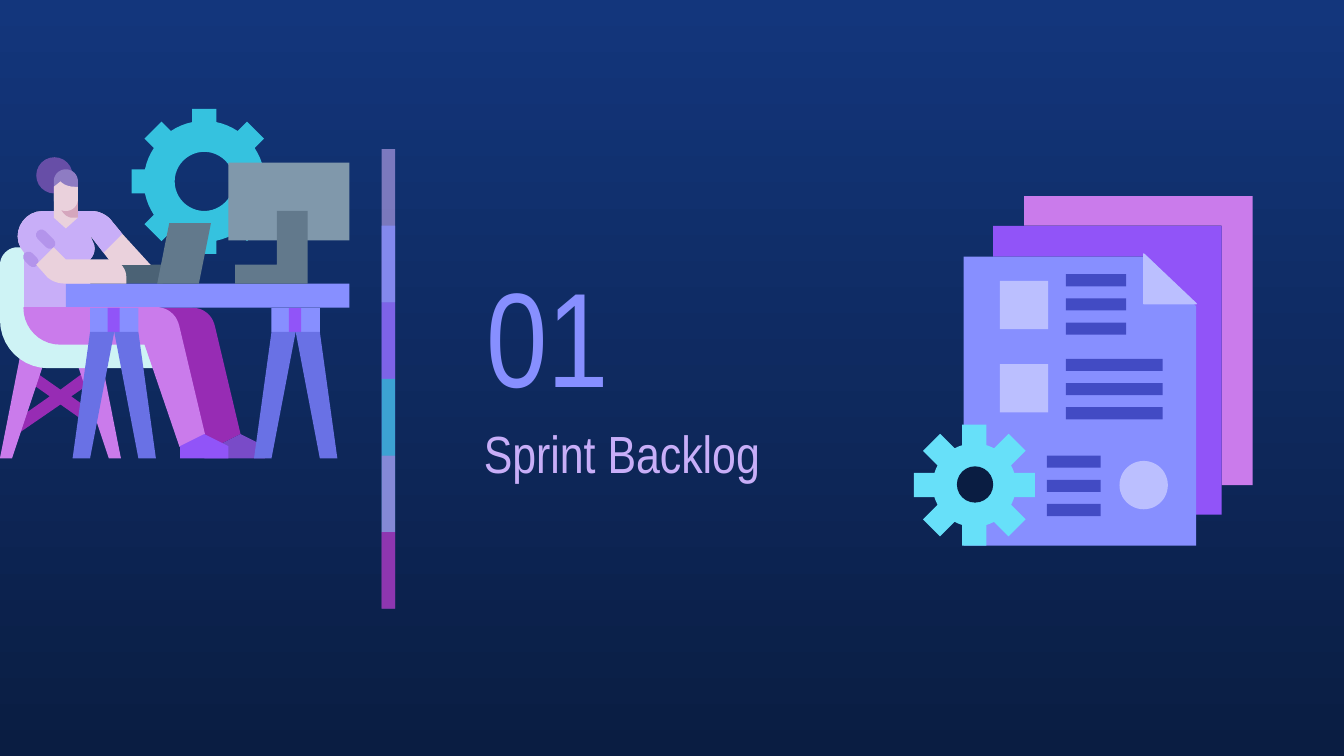
from math import asin, cos, pi, sin

from lxml import etree
from pptx import Presentation
from pptx.dml.color import RGBColor
from pptx.enum.shapes import MSO_SHAPE
from pptx.enum.text import MSO_ANCHOR
from pptx.oxml.ns import qn
from pptx.util import Inches, Pt

RECTANGLE, OVAL = MSO_SHAPE.RECTANGLE, MSO_SHAPE.OVAL
CAPSULE = MSO_SHAPE.ROUNDED_RECTANGLE


def add_part(color, geometry, kind=None, hole=(), opacity=None, edge=False):
    """Draw a preset from (left, top, width, height), or an outline from points.

    In an outline a pair is a corner, and six numbers are a Bezier curve.
    """
    if kind is not None:
        shape = slide.shapes.add_shape(kind, *map(Inches, geometry))
    else:
        points = []
        for step in geometry:
            if len(step) == 2:
                points.append(step)
                continue
            controls = [points[-1], step[:2], step[2:4], step[4:]]
            for t in [i / 10 for i in range(1, 11)]:
                weights = (1 - t) ** 3, 3 * t * (1 - t) ** 2, 3 * t * t * (1 - t), t ** 3
                points.append([sum(w * p[axis] for w, p in zip(weights, controls))
                               for axis in (0, 1)])
        builder = None
        for contour in filter(None, (points, hole)):
            corners = [(Inches(x), Inches(y)) for x, y in contour]
            if builder is None:
                builder = slide.shapes.build_freeform(*corners[0])
            else:
                builder.move_to(*corners[0])
            builder.add_line_segments(corners[1:], close=True)
        shape = builder.convert_to_shape()
    shape.shadow.inherit = False
    shape.fill.solid()
    shape.fill.fore_color.rgb = RGBColor.from_string(color)
    if edge:
        shape.line.color.rgb = RGBColor.from_string(color)
        shape.line.width = Pt(0.75)
    else:
        shape.line.fill.background()
    if opacity is not None:
        fill_color = shape.fill._xPr.find(qn("a:solidFill"))[0]
        etree.SubElement(fill_color, qn("a:alpha")).set("val", str(opacity * 1000))
    return shape


def add_gear(color, center_x, center_y, outer, body, hole=0):
    """Draw a gear with eight teeth; outer, body and hole are radii."""
    half_tooth = 0.09
    spread = asin(half_tooth / body)
    rim = []
    for angle in [tooth * pi / 4 for tooth in range(8)]:
        for side in (-half_tooth, half_tooth):
            rim.append((center_x + outer * cos(angle) - side * sin(angle),
                        center_y + outer * sin(angle) + side * cos(angle)))
        for i in range(5):
            turn = angle + spread + (pi / 4 - 2 * spread) * i / 4
            rim.append((center_x + body * cos(turn), center_y + body * sin(turn)))
    circle = [(center_x + hole * cos(i * pi / 24), center_y - hole * sin(i * pi / 24))
              for i in range(48)] if hole else ()
    add_part(color, rim, hole=circle)


presentation = Presentation()
presentation.slide_width = Inches(10)
presentation.slide_height = Inches(10) * 9 // 16
slide = presentation.slides.add_slide(presentation.slide_layouts[6])

background = slide.background.fill
background.gradient()
background.gradient_angle = 270
for stop, color in zip(background.gradient_stops, ("13367C", "0A1D42")):
    stop.color.rgb = RGBColor.from_string(color)

# Divider: translucent bars, each half covered by the next
bars = [("C8AEF8", 58), ("878FFF", 74), ("9154F8", 53),
        ("35C2DF", 76), ("CA7BEB", 56), ("972CB4", 74)]
for i, (color, opacity) in enumerate(bars):
    height = 0.57 if i == len(bars) - 1 else 1.14
    add_part(color, (2.84, 1.11 + 0.57 * i, 0.1, height), RECTANGLE, opacity=opacity)

# Section number and title
for text, size, color, box, indent in [
    ("01", 72, "878FFF", (3.52, 1.81, 1.75, 1.35), 0.1),
    ("Sprint Backlog", 28, "C8AEF8", (3.41, 3.03, 2.87, 0.67), 0.19),
]:
    frame = slide.shapes.add_textbox(*map(Inches, box)).text_frame
    frame.word_wrap = True
    frame.vertical_anchor = MSO_ANCHOR.MIDDLE
    frame.margin_left = Inches(indent)
    frame.margin_right = frame.margin_top = frame.margin_bottom = Inches(0.1)
    paragraph = frame.paragraphs[0]
    paragraph.text = text
    paragraph.font.name = "Arial Narrow"
    paragraph.font.size = Pt(size)
    paragraph.font.color.rgb = RGBColor.from_string(color)

# Gear and keyboard behind the desk
add_gear("35C2DF", 1.52, 1.35, 0.54, 0.45, 0.22)
add_part("4B6275", (0.9, 1.97, 0.31, 0.14), RECTANGLE)

# Chair
add_part("972CB4", [(0.25, 2.76), (0.2, 2.83), (0.37, 2.95), (0.07, 3.16), (0.13, 3.23),
                    (0.45, 3.01), (0.62, 3.13), (0.67, 3.05), (0.53, 2.95), (0.69, 2.84),
                    (0.64, 2.76), (0.45, 2.9)])
for side in (1, -1):
    add_part("CA7BEB", [(0.45 + side * x, y) for x, y in
                        [(0.09, 2.6), (0.36, 3.41), (0.45, 3.41), (0.29, 2.6)]])
add_part("CEF3F5", [(0.13, 1.84), (0.06, 1.84, 0, 1.9, 0, 1.97), (0, 2.38),
                    (0, 2.58, 0.16, 2.74, 0.36, 2.74), (1.21, 2.74), (1.21, 2.51),
                    (0.45, 2.51), (0.32, 2.51, 0.22, 2.41, 0.22, 2.29), (0.22, 1.84)])

# Far leg and shoe
add_part("972CB4", [(0.45, 2.29), (0.45, 2.44, 0.57, 2.56, 0.72, 2.56), (1.34, 2.56),
                    (1.52, 3.32), (1.61, 3.32), (1.79, 3.23), (1.6, 2.43),
                    (1.58, 2.34, 1.51, 2.29, 1.43, 2.29)])
add_part("794BC8", [(1.79, 3.23), (1.61, 3.32), (1.52, 3.32), (1.52, 3.41),
                    (1.97, 3.41), (1.97, 3.32)])

# Torso: skin with the forearm, then the shirt
torso = [(0.32, 1.57), (0.16, 1.57, 0.07, 1.76, 0.18, 1.88), (0.18, 2.29), (0.67, 2.29),
         (0.67, 1.93), (0.7, 1.9, 0.71, 1.86, 0.7, 1.82), (0.67, 1.75), (0.77, 1.88)]
shoulder = [(0.91, 1.74), (0.82, 1.63), (0.78, 1.59, 0.73, 1.57, 0.68, 1.57)]
add_part("EAD1DC", torso + [(0.84, 1.97), (1.12, 1.97)] + shoulder)
add_part("C8AEF8", torso + shoulder)

# Desk top, sleeve folds, neck and near arm
add_part("878FFF", (0.49, 2.11, 2.11, 0.18), RECTANGLE)
for center_x, center_y, length in [(0.23, 1.93, 0.13), (0.34, 1.78, 0.17)]:
    fold = add_part("B394EB", (center_x - length / 2, center_y - 0.04, length, 0.08), CAPSULE)
    fold.adjustments[0] = 0.5
    fold.rotation = 45
add_part("EAD1DC", [(0.4, 1.44), (0.4, 1.62), (0.49, 1.7), (0.58, 1.62), (0.58, 1.44)])
add_part("EAD1DC", [(0.4, 1.84), (0.27, 1.97), (0.35, 2.06), (0.38, 2.09, 0.43, 2.11, 0.48, 2.11),
                    (0.94, 2.11), (0.94, 2.06), (0.94, 1.99, 0.88, 1.93, 0.81, 1.93),
                    (0.49, 1.93)])

# Laptop, near leg and shoe
add_part("62798C", [(1.26, 1.66), (1.17, 2.11), (1.48, 2.11), (1.57, 1.66)])
add_part("CA7BEB", [(0.18, 2.29), (0.18, 2.44, 0.3, 2.56, 0.45, 2.56), (1.08, 2.56),
                    (1.34, 3.32), (1.52, 3.23), (1.33, 2.43),
                    (1.31, 2.34, 1.24, 2.29, 1.16, 2.29)], edge=True)
add_part("9154F8", [(1.52, 3.23), (1.34, 3.32), (1.34, 3.41), (1.7, 3.41), (1.7, 3.32)])

# Monitor and its stand
add_part("8098AB", (1.7, 1.21, 0.9, 0.58), RECTANGLE)
add_part("62798C", [(2.06, 1.57), (2.06, 1.97), (1.75, 1.97), (1.75, 2.11),
                    (2.29, 2.11), (2.29, 1.57)])

# Desk trestles
for center in (2.2, 0.85):
    add_part("878FFF", (center - 0.18, 2.29, 0.36, 0.18), RECTANGLE)
    add_part("9154F8", (center - 0.05, 2.29, 0.09, 0.18), RECTANGLE)
    for side in (-1, 1):
        add_part("6971E5", [(center + side * x, y) for x, y in
                            [(0, 2.47), (0.18, 3.41), (0.31, 3.41), (0.18, 2.47)]])

# Head: neck shadow, bun, hair and face
add_part("D5A6BD", [(0.45, 1.44), (0.45, 1.53), (0.45, 1.57, 0.49, 1.62, 0.54, 1.62),
                    (0.58, 1.62), (0.58, 1.44)])
add_part("674EA7", (0.27, 1.17, 0.27, 0.27), OVAL)
add_part("8E7CC3", [(0.49, 1.26), (0.44, 1.26, 0.4, 1.3, 0.4, 1.35), (0.4, 1.44),
                    (0.58, 1.44), (0.58, 1.35), (0.58, 1.3, 0.54, 1.26, 0.49, 1.26)])
add_part("EAD1DC", [(0.45, 1.35), (0.4, 1.39), (0.4, 1.48), (0.4, 1.53, 0.44, 1.57, 0.49, 1.57),
                    (0.54, 1.57, 0.58, 1.53, 0.58, 1.48), (0.58, 1.39), (0.56, 1.39),
                    (0.52, 1.39, 0.48, 1.38, 0.45, 1.35)])

# Stack of documents with a gear
add_part("CA7BEB", [(7.62, 1.46), (7.62, 1.68), (9.09, 1.68), (9.09, 3.61),
                    (9.32, 3.61), (9.32, 1.46)])
add_part("9154F8", [(7.39, 1.68), (7.39, 1.91), (8.51, 1.91), (8.87, 2.26),
                    (8.87, 3.83), (9.09, 3.83), (9.09, 1.68)])
add_part("878FFF", [(7.17, 1.91), (7.17, 4.06), (8.9, 4.06), (8.9, 2.28), (8.54, 1.91)])
add_gear("67E0F9", 7.25, 3.61, 0.45, 0.31)
add_part("0A1D42", (7.12, 3.47, 0.27, 0.27), OVAL)
for left, top, kind in [(7.44, 2.09, RECTANGLE), (7.44, 2.71, RECTANGLE), (8.33, 3.43, OVAL)]:
    add_part("BBBFFF", (left, top, 0.36, 0.36), kind)
for left, top, width in [(7.93, 2.04, 0.45), (7.93, 2.67, 0.72), (7.79, 3.39, 0.4)]:
    for row in range(3):
        add_part("424BC4", (left, top + 0.18 * row, width, 0.09), RECTANGLE)
add_part("BBBFFF", [(8.51, 1.89), (8.51, 2.26), (8.9, 2.26)], edge=True)

presentation.save("out.pptx")
